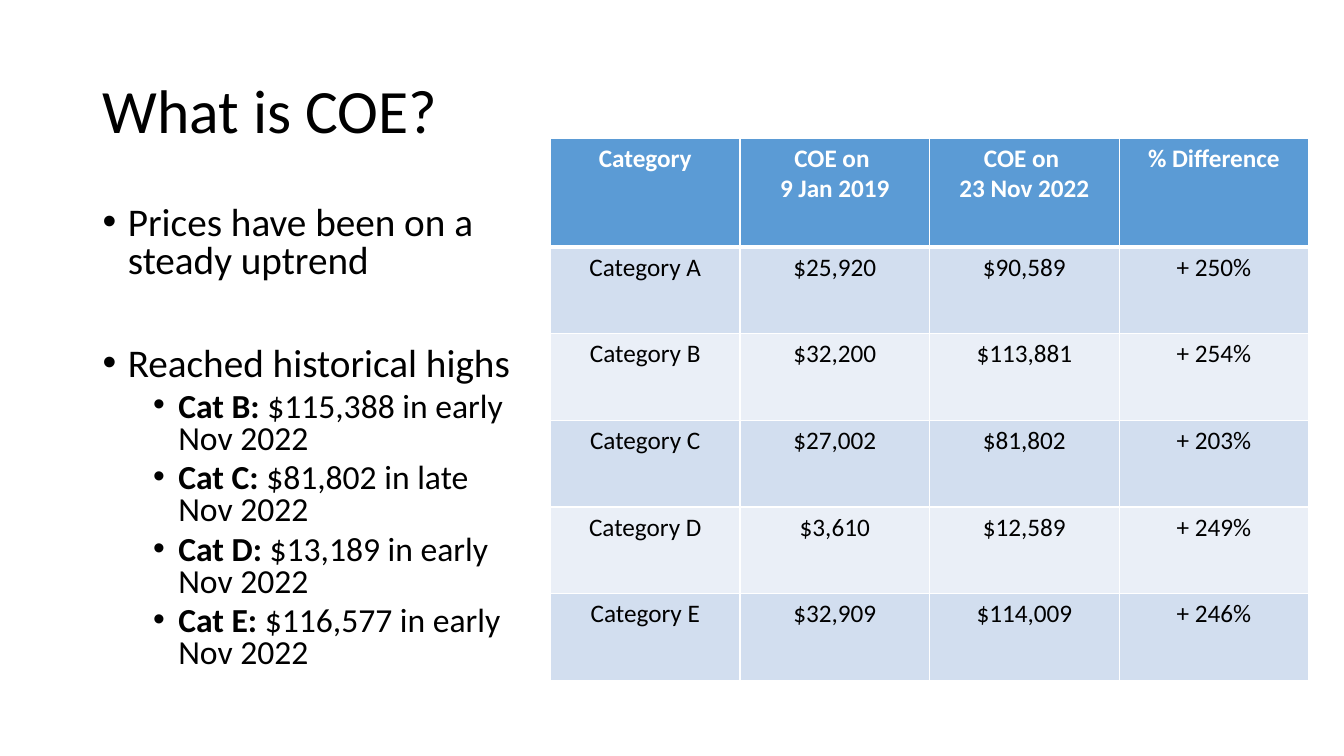
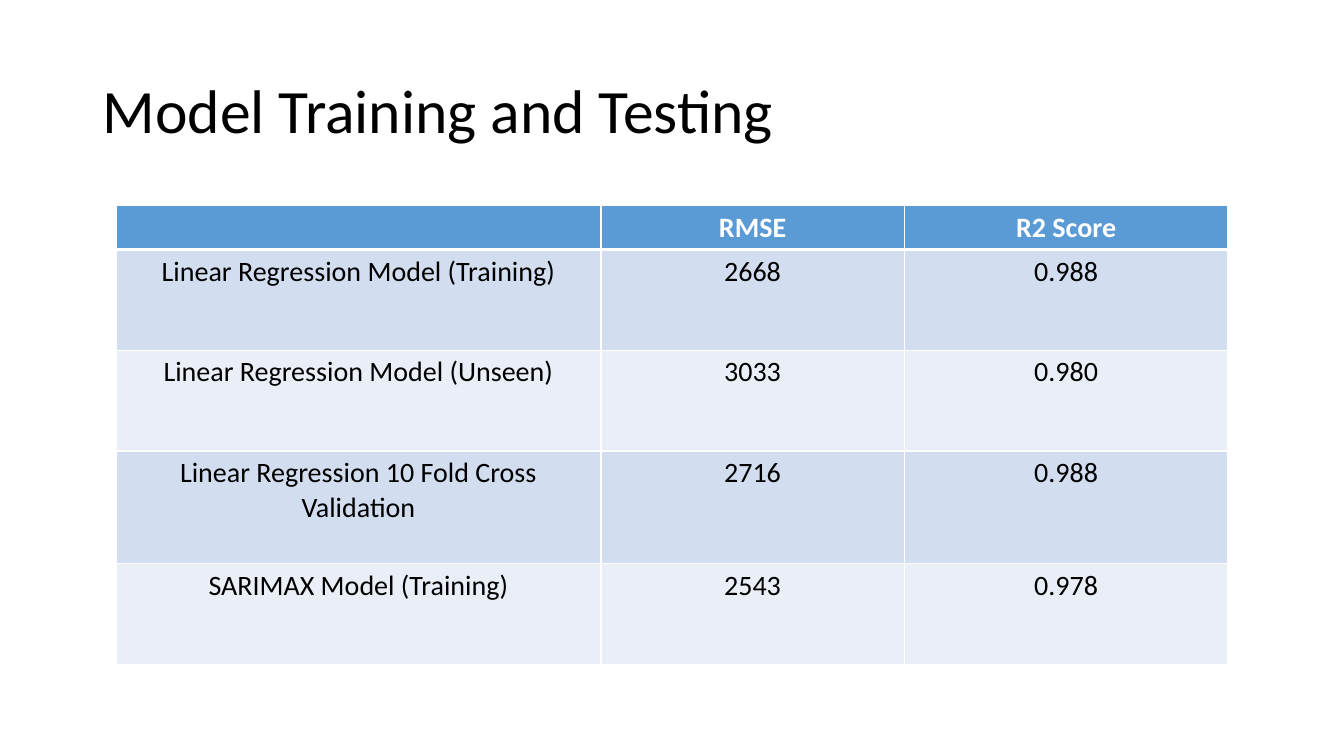
from dataclasses import dataclass

import lxml.etree
import pptx
import pptx.dml.color
import pptx.enum.text
import pptx.oxml.ns
import pptx.util

Inches = pptx.util.Inches
Pt = pptx.util.Pt
qn = pptx.oxml.ns.qn

FONT = "Calibri"
BLACK = "000000"
WHITE = "FFFFFF"
BLUE = "5B9BD5"
BANDS = ("D2DEEF", "EAEFF7")


@dataclass
class Run:
    text: str
    bold: bool = False


@dataclass
class Point:
    runs: list[Run]
    size: int
    left: float
    space: float
    level: int = 0


@dataclass
class Grid:
    left: float
    top: float
    widths: list[float]
    heights: list[float]
    size: int
    rows: list[list[str]]


def color(code: str) -> pptx.dml.color.RGBColor:
    return pptx.dml.color.RGBColor.from_string(code)


def add_run(para, run: Run, size: int, ink: str = BLACK) -> None:
    piece = para.add_run()
    piece.text = run.text
    piece.font.name = FONT
    piece.font.size = Pt(size)
    piece.font.bold = run.bold
    piece.font.color.rgb = color(ink)


def add_box(slide, left: float, top: float, width: float, height: float):
    box = slide.shapes.add_textbox(Inches(left), Inches(top), Inches(width), Inches(height))
    box.text_frame.word_wrap = True
    return box.text_frame


def add_title(slide, text: str) -> None:
    frame = add_box(slide, 0.92, 0.4, 11.5, 1.45)
    frame.vertical_anchor = pptx.enum.text.MSO_ANCHOR.MIDDLE
    para = frame.paragraphs[0]
    para.line_spacing = 0.9
    add_run(para, Run(text), 44)


def add_points(slide, points: list[Point]) -> None:
    frame = add_box(slide, 0.92, 2, 4.25, 4.76)
    for index, point in enumerate(points):
        para = frame.add_paragraph() if index else frame.paragraphs[0]
        para.level = point.level
        para.line_spacing = 0.8
        para.space_before = Pt(point.space)
        props = para._p.get_or_add_pPr()
        props.set("marL", str(Inches(point.left)))
        props.set("indent", str(Inches(-0.25)))
        lxml.etree.SubElement(props, qn("a:buFont")).set("typeface", "Arial")
        lxml.etree.SubElement(props, qn("a:buChar")).set("char", "•")
        for run in point.runs:
            add_run(para, run, point.size)


def add_edge(cell, side: str, width: float) -> None:
    line = lxml.etree.SubElement(cell._tc.get_or_add_tcPr(), qn(f"a:ln{side}"))
    line.set("w", str(Pt(width)))
    fill = lxml.etree.SubElement(line, qn("a:solidFill"))
    lxml.etree.SubElement(fill, qn("a:srgbClr")).set("val", WHITE)


def fill_cell(cell, text: str, row: int, size: int) -> None:
    head = row == 0
    thick = {"B": 3} if head else {"T": 3} if row == 1 else {}
    for side in "LRTB":
        add_edge(cell, side, thick.get(side, 1))
    cell.fill.solid()
    cell.fill.fore_color.rgb = color(BLUE if head else BANDS[(row - 1) % 2])
    for index, line in enumerate(text.split("\n")):
        para = cell.text_frame.add_paragraph() if index else cell.text_frame.paragraphs[0]
        para.alignment = pptx.enum.text.PP_ALIGN.CENTER
        if line:
            add_run(para, Run(line, head), size, WHITE if head else BLACK)


def add_grid(slide, grid: Grid) -> None:
    table = slide.shapes.add_table(
        len(grid.heights), len(grid.widths),
        Inches(grid.left), Inches(grid.top),
        Inches(sum(grid.widths)), Inches(sum(grid.heights)),
    ).table
    table.horz_banding = False
    for part, width in zip(table.columns, grid.widths):
        part.width = Inches(width)
    for part, height in zip(table.rows, grid.heights):
        part.height = Inches(height)
    for row, texts in enumerate(grid.rows):
        for col, text in enumerate(texts):
            fill_cell(table.cell(row, col), text, row, grid.size)


PRICES = Grid(5.46, 1.37, [1.88] * 4, [1.08] + [0.86] * 5, 18, [
    ["Category", "COE on \n9 Jan 2019", "COE on \n23 Nov 2022", "% Difference"],
    ["Category A", "$25,920", "$90,589", "+ 250%"],
    ["Category B", "$32,200", "$113,881", "+ 254%"],
    ["Category C", "$27,002", "$81,802", "+ 203%"],
    ["Category D", "$3,610", "$12,589", "+ 249%"],
    ["Category E", "$32,909", "$114,009", "+ 246%"],
])

SCORES = Grid(1.15, 2.04, [4.81, 3.01, 3.21], [0.43, 1, 1, 1.12, 1], 20, [
    ["", "RMSE", "R2 Score"],
    ["Linear Regression Model (Training)", "2668", "0.988"],
    ["Linear Regression Model (Unseen)", "3033", "0.980"],
    ["Linear Regression 10 Fold Cross Validation", "2716", "0.988"],
    ["SARIMAX Model (Training)", "2543", "0.978"],
])

HIGHS = [
    ("Cat B:", " $115,388 in early Nov 2022"),
    ("Cat C:", " $81,802 in late Nov 2022"),
    ("Cat D:", " $13,189 in early Nov 2022"),
    ("Cat E:", " $116,577 in early Nov 2022"),
]

POINTS = [
    Point([Run("Prices have been on a steady uptrend")], 28, 0.25, 10),
    Point([Run("Reached historical highs")], 28, 0.25, 47),
] + [Point([Run(name, True), Run(price)], 24, 0.75, 5, 1) for name, price in HIGHS]


def main() -> None:
    deck = pptx.Presentation()
    deck.slide_width = Inches(13.33)
    deck.slide_height = Inches(7.5)
    blank = deck.slide_layouts[6]

    slide = deck.slides.add_slide(blank)
    add_title(slide, "What is COE?")
    add_points(slide, POINTS)
    add_grid(slide, PRICES)

    slide = deck.slides.add_slide(blank)
    add_title(slide, "Model Training and Testing")
    add_grid(slide, SCORES)

    deck.save("out.pptx")


if __name__ == "__main__":
    main()
